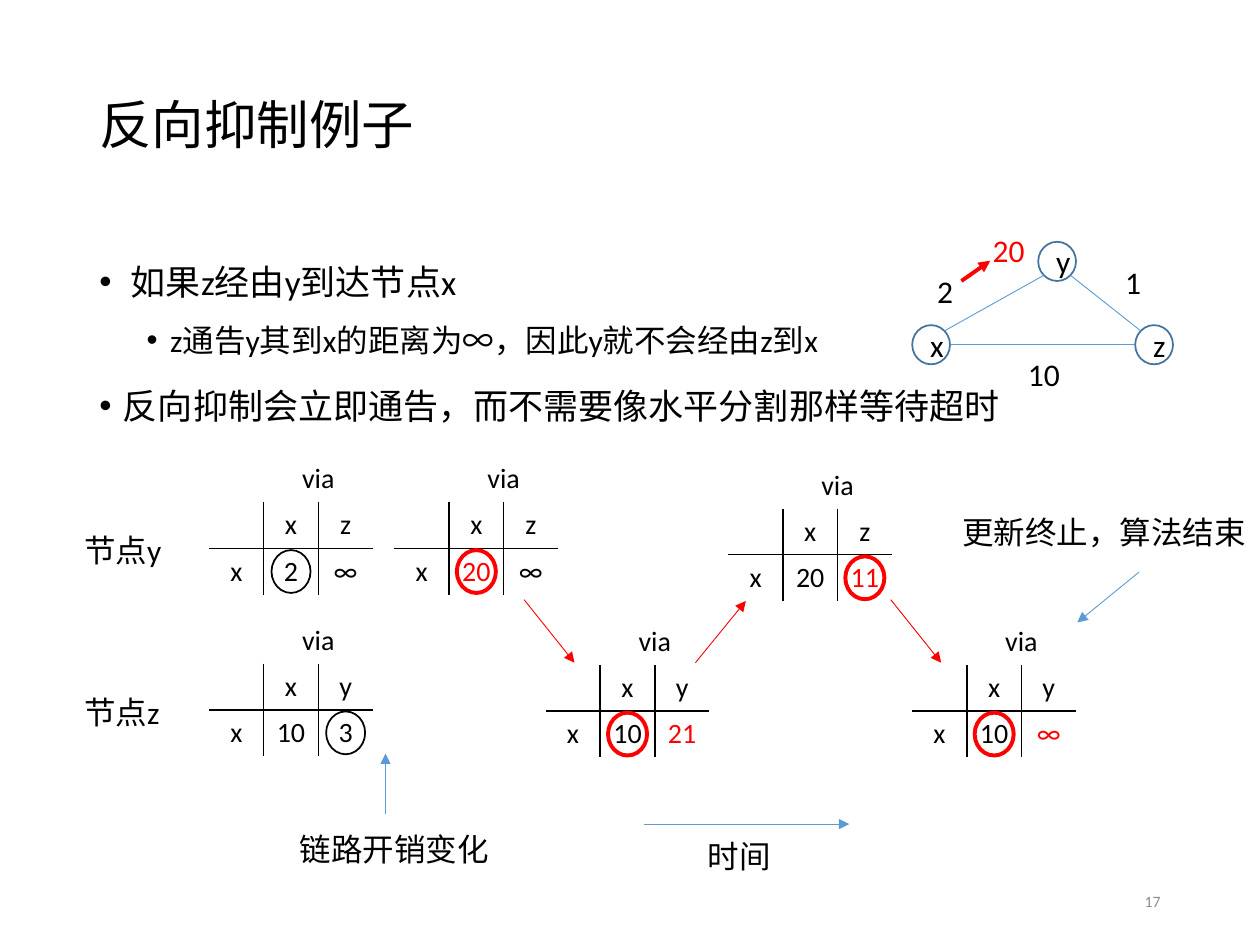
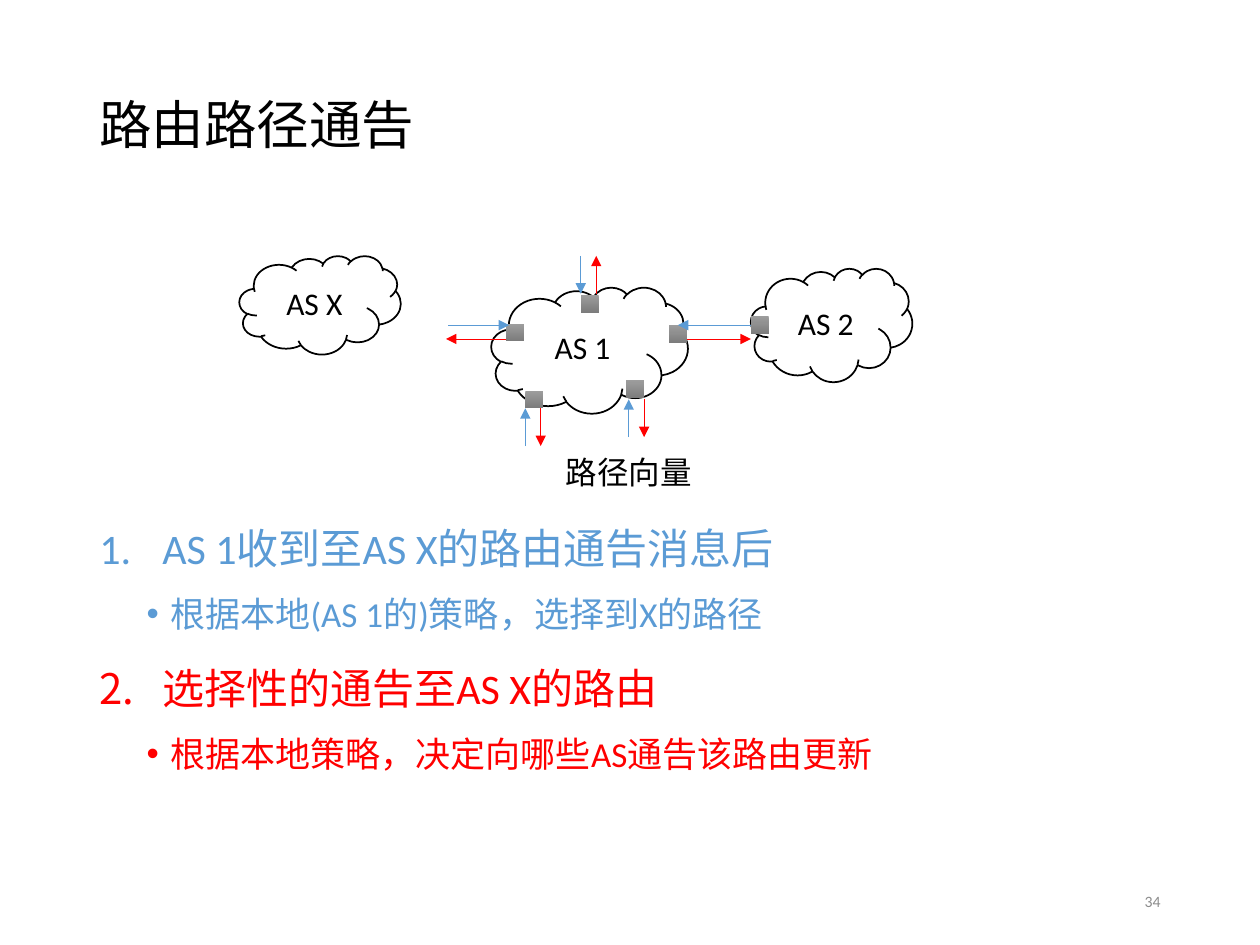
from dataclasses import dataclass

from lxml import etree
from pptx import Presentation
from pptx.dml.color import RGBColor
from pptx.enum.shapes import MSO_CONNECTOR, MSO_SHAPE
from pptx.enum.text import MSO_ANCHOR, PP_ALIGN
from pptx.oxml.ns import qn
from pptx.util import Pt

STRAIGHT = MSO_CONNECTOR.STRAIGHT
OVAL, CLOUD, RECT = MSO_SHAPE.OVAL, MSO_SHAPE.CLOUD, MSO_SHAPE.RECTANGLE
LEFT, CENTER, RIGHT = PP_ALIGN.LEFT, PP_ALIGN.CENTER, PP_ALIGN.RIGHT
TOP, MIDDLE = MSO_ANCHOR.TOP, MSO_ANCHOR.MIDDLE


@dataclass(frozen=True)
class Theme:
    latin: str = "Calibri"
    cjk: str = "Noto Sans CJK SC"
    black: str = "000000"
    red: str = "FF0000"
    blue: str = "5B9BD5"
    node_line: str = "43739E"
    grey: str = "8C8C8C"
    router_top: str = "9D9D9D"
    router_bottom: str = "7C7C7C"
    title: float = 30
    item: float = 24
    body: float = 20
    label: float = 18
    cell: float = 16
    number: float = 9
    thin: float = 0.5
    line: float = 1
    thick: float = 2.25


T = Theme()
NO_TABLE_STYLE = "{2D5ABB26-0587-4C30-8999-92F81FD0307C}"
COL_W, ROW_H = 31.2, 26.4      # distance table cell
RING_W, RING_H = 22.3, 24.5    # ring around a distance
NODE_W, NODE_H = 21.6, 22.4    # node of the network graph
ROUTER = 10.2                  # side of a border router


# ---- text ----
def format_paragraph(p, size, color=T.black, latin=T.latin, align=LEFT):
    p.alignment = align
    for r in p.runs:
        r.font.size, r.font.name = Pt(size), latin
        r.font.color.rgb = RGBColor.from_string(color)
        etree.SubElement(r._r.get_or_add_rPr(), qn("a:ea"), typeface=T.cjk)


def add_text(slide, text, x, y, w, h, size=T.label, color=T.black, latin=T.latin,
             align=LEFT, anchor=TOP, wrap=False):
    tf = slide.shapes.add_textbox(Pt(x), Pt(y), Pt(w), Pt(h)).text_frame
    tf.word_wrap, tf.vertical_anchor = wrap, anchor
    p = tf.paragraphs[0]
    p.text = text
    format_paragraph(p, size, color, latin, align)
    return p


def add_body(slide, y, h, items):
    """Each item: text, level, size, colour, left margin, hanging indent, numbered."""
    tf = slide.shapes.add_textbox(Pt(49.7), Pt(y), Pt(620.6), Pt(h)).text_frame
    tf.word_wrap = True
    for i, (text, level, size, color, margin, hang, numbered) in enumerate(items):
        p = tf.add_paragraph() if i else tf.paragraphs[0]
        p.text, p.level, p.line_spacing = text, level, 1.3
        if i:
            p.space_before = Pt(3.8 if level else 7.5)
        pPr = p._p.get_or_add_pPr()
        pPr.set("marL", str(Pt(margin)))
        pPr.set("indent", str(Pt(-hang)))
        if numbered:
            etree.SubElement(pPr, qn("a:buAutoNum"), type="arabicPeriod")
        else:
            etree.SubElement(pPr, qn("a:buFont"), typeface="Arial")
            etree.SubElement(pPr, qn("a:buChar"), char="•")
        format_paragraph(p, size, color)


def add_slide(prs, title, number):
    slide = prs.slides.add_slide(prs.slide_layouts[6])
    p = add_text(slide, title, 49.7, 28.8, 620.6, 88.6, T.title, anchor=MIDDLE, wrap=True)
    p.line_spacing = 0.9
    add_text(slide, str(number), 508.3, 500.4, 162, 28.8, T.number, T.grey,
             align=RIGHT, anchor=MIDDLE, wrap=True)
    return slide


# ---- shapes and lines ----
def add_outline(slide, kind, x, y, w, h, color=T.black, weight=T.line, text=""):
    sp = slide.shapes.add_shape(kind, Pt(x), Pt(y), Pt(w), Pt(h))
    sp.shadow.inherit = False
    sp.fill.background()
    sp.line.color.rgb = RGBColor.from_string(color)
    sp.line.width = Pt(weight)
    if text:
        p = sp.text_frame.paragraphs[0]
        p.text = text
        format_paragraph(p, T.label, align=CENTER)
    return sp


def add_line(slide, x1, y1, x2, y2, color=T.blue, weight=T.thin, arrow=True):
    line = slide.shapes.add_connector(STRAIGHT, Pt(x1), Pt(y1), Pt(x2), Pt(y2))
    line.line.color.rgb = RGBColor.from_string(color)
    line.line.width = Pt(weight)
    if arrow:
        etree.SubElement(line.line._get_or_add_ln(), qn("a:tailEnd"), type="triangle")
    etree.SubElement(line._element.spPr, qn("a:effectLst"))
    return line


def add_router(slide, x, y):
    sp = slide.shapes.add_shape(RECT, Pt(x), Pt(y), Pt(ROUTER), Pt(ROUTER))
    sp.shadow.inherit = False
    sp.line.fill.background()
    sp.fill.gradient()
    sp.fill.gradient_angle = 270
    for stop, color in zip(sp.fill.gradient_stops, (T.router_top, T.router_bottom)):
        stop.color.rgb = RGBColor.from_string(color)
    return sp


def add_vertical_exchange(slide, x, near, far):
    """Advertisement coming in, and beside it the one going out."""
    add_line(slide, x, far, x, near)
    add_line(slide, x + 8.8, near, x + 8.8, far, T.red)


# ---- distance tables ----
def set_border(cell, side):
    ln = etree.SubElement(cell._tc.get_or_add_tcPr(), qn(f"a:ln{side}"), w=str(Pt(T.line)))
    fill = etree.SubElement(ln, qn("a:solidFill"))
    etree.SubElement(fill, qn("a:srgbClr"), val=T.black)


def add_distance_table(slide, x, y, via, costs, ringed, ring_color=T.red, red_cost=None):
    """Distances to x by next hop; ringed and red_cost are columns."""
    table = slide.shapes.add_table(3, 3, Pt(x), Pt(y), Pt(3 * COL_W), Pt(3 * ROW_H)).table
    table.first_row = table.horz_banding = False
    table._tbl.tblPr.find(qn("a:tableStyleId")).text = NO_TABLE_STYLE
    for part in table.columns:
        part.width = Pt(COL_W)
    for part in table.rows:
        part.height = Pt(ROW_H)
    borders = {(1, 0): "RB", (1, 1): "LB", (1, 2): "B", (2, 0): "RT", (2, 1): "LT", (2, 2): "T"}
    rows = (("", "via", ""), ("", *via), ("x", *costs))
    for i, row in enumerate(rows):
        for j, text in enumerate(row):
            cell = table.cell(i, j)
            cell.margin_left = cell.margin_right = Pt(3.6)
            cell.margin_top = cell.margin_bottom = Pt(0)
            cell.vertical_anchor = MIDDLE
            for side in borders.get((i, j), ""):
                set_border(cell, side)
            cell.fill.background()
            if text:
                p = cell.text_frame.paragraphs[0]
                p.text = text
                color = T.red if (i, j) == (2, red_cost) else T.black
                format_paragraph(p, T.cell, color, align=CENTER)
    table.cell(0, 1).merge(table.cell(0, 2))
    add_outline(slide, OVAL, x + ringed * COL_W + (COL_W - RING_W) / 2,
                y + 2 * ROW_H + (ROW_H - RING_H) / 2, RING_W, RING_H, ring_color,
                T.thick if ring_color == T.red else T.line)


# ---- slides ----
def add_network(slide):
    nodes = {"x": (521.3, 185.8), "y": (593.3, 138.2), "z": (648.7, 185.8)}
    for name, (x, y) in nodes.items():
        add_outline(slide, OVAL, x, y, NODE_W, NODE_H, T.node_line, text=name)

    def rim(name, dx, dy):
        x, y = nodes[name]
        return x + NODE_W * (1 + dx) / 2, y + NODE_H * (1 + dy) / 2

    d = 0.71  # diagonal point on the circle
    for start, end in ((rim("x", d, -d), rim("y", -d, d)),
                       (rim("y", d, d), rim("z", -d, -d)),
                       (rim("x", 1, 0), rim("z", -1, 0))):
        add_line(slide, *start, *end, arrow=False)
    for cost, x, y, w, color in (("10", 580.3, 199.4, 33.1, T.black),
                                 ("1", 635.8, 146.9, 23.8, T.black),
                                 ("2", 528.5, 151.9, 23.8, T.black),
                                 ("20", 560.2, 128.2, 33.1, T.red)):
        add_text(slide, cost, x, y, w, 28.8, color=color)
    add_line(slide, 549.4, 160.6, 565.9, 149, T.red, T.thick)


def build_poison_slide(prs):
    slide = add_slide(prs, "反向抑制例子", 17)
    add_body(slide, 138.2, 348.5, (
        ("如果z经由y到达节点x", 0, T.body, T.black, 18, 18, False),
        ("z通告y其到x的距离为∞，因此y就不会经由z到x", 1, T.label, T.black, 40.5, 13.5, False),
        ("反向抑制会立即通告，而不需要像水平分割那样等待超时", 0, T.body, T.black, 13.5, 13.5, False),
    ))
    add_network(slide)

    # Distance tables of both nodes over time
    for name, y in (("节点y", 300.2), ("节点z", 392.4)):
        add_text(slide, name, 41, y, 58.5, 28.8, wrap=True)
    add_distance_table(slide, 119.5, 260.6, "xz", ("2", "∞"), 1, T.black)
    add_distance_table(slide, 119.5, 352.8, "xy", ("10", "3"), 2, T.black)
    add_distance_table(slide, 225.4, 260.6, "xz", ("20", "∞"), 1, red_cost=1)
    add_distance_table(slide, 311.8, 353.5, "xy", ("10", "21"), 1, red_cost=2)
    add_distance_table(slide, 416.2, 264.2, "xz", ("20", "11"), 2, red_cost=2)
    add_distance_table(slide, 521.3, 353.5, "xy", ("10", "∞"), 1, red_cost=2)

    # Updates passed between the nodes
    for x1, y1, x2, y2 in ((299.5, 342.7, 328.3, 378.7), (397.4, 378.7, 426.2, 343.4),
                           (509, 342.7, 537.8, 378.7)):
        add_line(slide, x1, y1, x2, y2, T.red)

    # Remarks and their arrows
    add_line(slide, 220.3, 465.1, 220.3, 430.6)
    add_line(slide, 367.9, 470.9, 485.3, 470.9)
    add_line(slide, 650.9, 326.9, 615.6, 355.7)
    for text, x, y, w in (("链路开销变化", 164.2, 470.9, 123.8), ("时间", 397.4, 474.5, 51.1),
                          ("更新终止，算法结束", 542.9, 289.4, 177.8)):
        add_text(slide, text, x, y, w, 28.8, latin=T.cjk)


def build_path_slide(prs):
    slide = add_slide(prs, "路由路径通告", 34)
    add_body(slide, 286.6, 200.2, (
        ("AS 1收到至AS X的路由通告消息后", 0, T.item, T.blue, 36, 36, True),
        ("根据本地(AS 1的)策略，选择到X的路径", 1, T.body, T.blue, 40.5, 13.5, False),
        ("选择性的通告至AS X的路由", 0, T.item, T.red, 36, 36, True),
        ("根据本地策略，决定向哪些AS通告该路由更新", 1, T.body, T.red, 40.5, 13.5, False),
    ))

    # Autonomous systems and their border routers
    for name, x, y, w, h in (("AS 1", 280.8, 164.2, 112.3, 72), ("AS X", 136.8, 146.2, 92.2, 56.2),
                             ("AS 2", 429.1, 153.4, 92.2, 64.8)):
        add_outline(slide, CLOUD, x, y, w, h, text=name)
    for x, y in ((382.3, 185.8), (331.9, 168.5), (289.4, 185), (300.2, 223.2), (357.8, 217.4)):
        add_router(slide, x, y)
    as2_router = add_router(slide, 429.1, 180.7)

    # Advertisements in and out of AS 1
    add_line(slide, 429.1, 185.8, 387.4, 185.8).begin_connect(as2_router, 1)
    add_line(slide, 392.4, 193.7, 429.1, 193.7, T.red)
    add_line(slide, 256.3, 185.8, 290.9, 185.8)
    add_line(slide, 289.4, 193.7, 254.9, 193.7, T.red)
    for x, near, far in ((331.9, 167.8, 146.2), (300.2, 233.3, 254.9), (359.3, 228.2, 249.8)):
        add_vertical_exchange(slide, x, near, far)
    add_text(slide, "路径向量", 316.1, 255.6, 87.1, 28.8)


def main():
    prs = Presentation()
    prs.slide_width, prs.slide_height = Pt(720), Pt(540)
    build_poison_slide(prs)
    build_path_slide(prs)
    prs.save("out.pptx")


if __name__ == "__main__":
    main()
